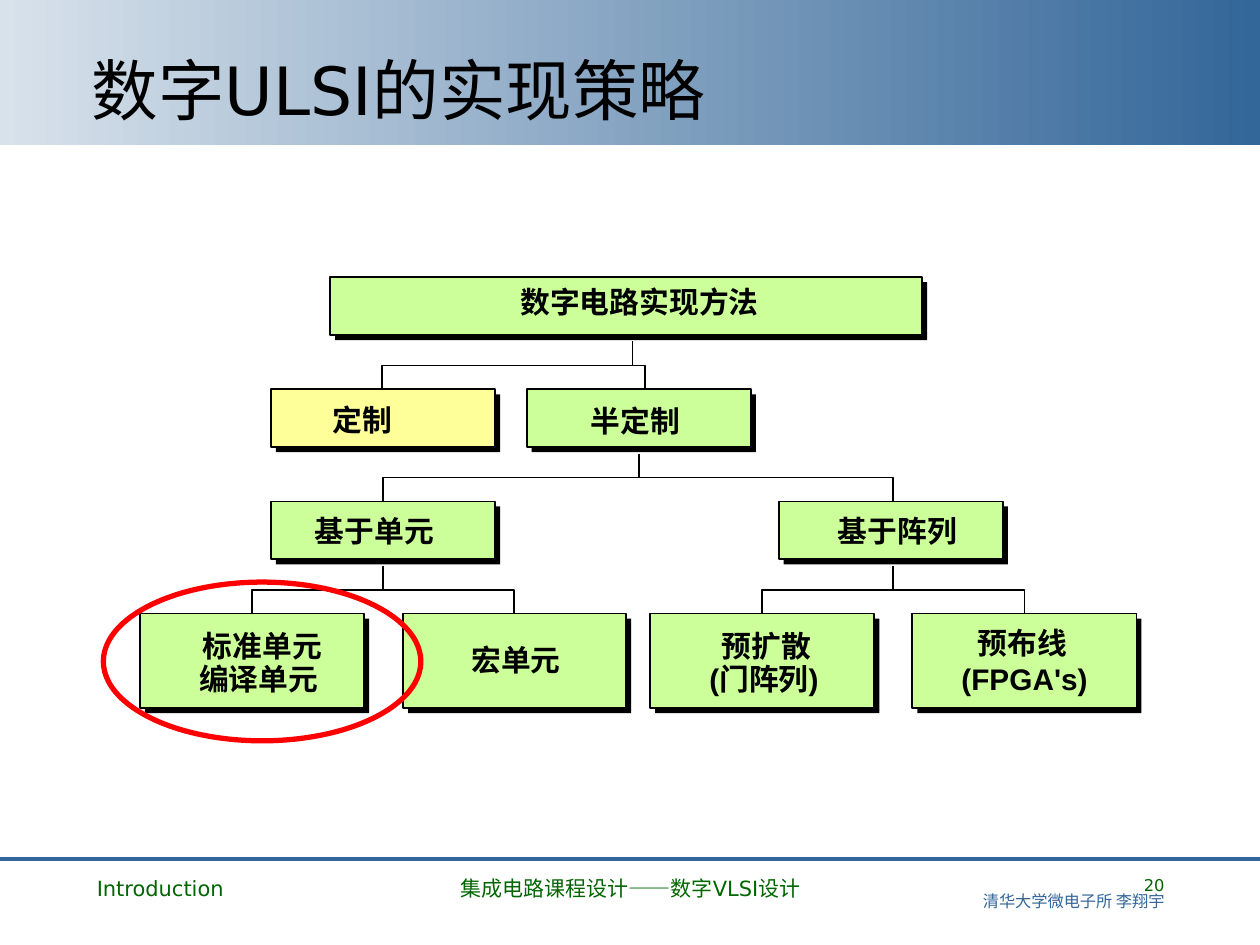
from pptx import Presentation
from pptx.dml.color import RGBColor
from pptx.enum.shapes import MSO_CONNECTOR, MSO_SHAPE
from pptx.enum.text import MSO_ANCHOR, PP_ALIGN
from pptx.oxml.ns import qn
from pptx.util import Inches, Pt
from lxml import etree

RECT, OVAL = MSO_SHAPE.RECTANGLE, MSO_SHAPE.OVAL
LEFT, MID, RIGHT = PP_ALIGN.LEFT, PP_ALIGN.CENTER, PP_ALIGN.RIGHT
TOP, BOTTOM = MSO_ANCHOR.TOP, MSO_ANCHOR.BOTTOM
STRAIGHT = MSO_CONNECTOR.STRAIGHT

COLORS = {"black": "000000", "pale": "D8E2EB", "blue": "336699", "green": "006600",
          "lime": "CCFF99", "yellow": "FFFF99", "red": "FF0000"}
SANS, HAN, ARIAL = "DejaVu Sans", "Noto Sans CJK SC", "Arial"

TITLE = "数字ULSI的实现策略"
FOOTERS = [  # left, width, align, lines of (text, size, font, color, spacing)
    (0.67, 2.17, LEFT, [("Introduction", 12, SANS, "green", None)]),
    (3.42, 3.17, MID, [("集成电路课程设计——数字VLSI设计", 12, SANS, "green", None)]),
    (7.17, 2.17, RIGHT, [("20", 9.3, SANS, "green", None),
                         ("清华大学微电子所 李翔宇", 9.3, HAN, "blue", 0.8)]),
]
ROWS = [  # top, height, boxes of (left, width, color, labels of (left, top, width, text))
    (2.2, 0.46, [(2.62, 4.7, "lime", [(4.13, 2.25, 2.13, "数字电路实现方法")])]),
    (3.09, 0.46, [(2.15, 1.78, "yellow", [(2.64, 3.19, 0.7, "定制")]),
                  (4.18, 1.78, "lime", [(4.69, 3.2, 0.87, "半定制")])]),
    (3.98, 0.46, [(2.15, 1.78, "lime", [(2.5, 4.07, 1.16, "基于单元")]),
                  (6.18, 1.78, "lime", [(6.65, 4.07, 1.1, "基于阵列")])]),
    (4.87, 0.75, [(1.11, 1.78, "lime", [(1.61, 4.98, 1.02, "标准单元"),
                                        (1.58, 5.24, 1.06, "编译单元")]),
                  (3.2, 1.77, "lime", [(3.74, 5.09, 0.87, "宏单元")]),
                  (5.16, 1.78, "lime", [(5.73, 4.98, 0.93, "预扩散"),
                                        (5.63, 5.24, 1.02, "(门阵列)")]),
                  (7.24, 1.78, "lime", [(7.76, 4.96, 0.87, "预布线"),
                                        (7.63, 5.24, 1.15, "(FPGA's)")])]),
]
FORKS = [  # bar height, stem x, left drop x, right drop x
    (2.9, 5.02, 3.03, 5.12),
    (3.79, 5.07, 3.04, 7.09),
    (4.68, 3.04, 2.0, 4.08),
    (4.68, 7.09, 6.05, 8.13),
]
DROP, STEM, SHADE = 0.19, 0.19, 0.04

prs = Presentation()
prs.slide_width, prs.slide_height = Inches(10), Inches(7.5)
slide = prs.slides.add_slide(prs.slide_layouts[6])
shapes = slide.shapes


def rgb(name):
    return RGBColor.from_string(COLORS[name])


def paint(shape, fill=None, line=None, width=1):
    shape.shadow.inherit = False
    if fill:
        shape.fill.solid()
        shape.fill.fore_color.rgb = rgb(fill)
    else:
        shape.fill.background()
    if line:
        shape.line.color.rgb = rgb(line)
        shape.line.width = Pt(width)
    else:
        shape.line.fill.background()


def block(kind, x, y, w, h, **look):
    shape = shapes.add_shape(kind, Inches(x), Inches(y), Inches(w), Inches(h))
    paint(shape, **look)
    return shape


def rule(x1, y1, x2, y2, color, width):
    line = shapes.add_connector(STRAIGHT, Inches(x1), Inches(y1), Inches(x2), Inches(y2))
    line.line.color.rgb = rgb(color)
    line.line.width = Pt(width)
    etree.SubElement(line._element.spPr, qn("a:effectLst"))


def trace(points):
    """Draw an open outline through the points."""
    ends = [(Inches(x), Inches(y)) for x, y in points]
    path = shapes.build_freeform(*ends[0])
    path.add_line_segments(ends[1:], close=False)
    paint(path.convert_to_shape(), line="black")


def write(x, y, w, h, lines, align=LEFT, anchor=TOP, pad=(0.1, 0.05), bold=False):
    box = shapes.add_textbox(Inches(x), Inches(y), Inches(w), Inches(h))
    frame = box.text_frame
    frame.word_wrap = True
    frame.vertical_anchor = anchor
    frame.margin_left = frame.margin_right = Inches(pad[0])
    frame.margin_top = frame.margin_bottom = Inches(pad[1])
    for i, (text, size, face, color, gap) in enumerate(lines):
        para = frame.add_paragraph() if i else frame.paragraphs[0]
        para.alignment = align
        if gap:
            para.line_spacing = gap
        run = para.add_run()
        run.text = text
        run.font.size = Pt(size)
        run.font.name = face
        run.font.bold = bold
        run.font.color.rgb = rgb(color)


banner = block(RECT, 0, 0, 10, 1.15)
banner.fill.gradient()
banner.fill.gradient_angle = 0
for stop, name in zip(banner.fill.gradient_stops, ("pale", "blue")):
    stop.color.rgb = rgb(name)
rule(0, 6.82, 10, 6.82, "blue", 2.25)
for x, w, align, lines in FOOTERS:
    write(x, 6.9, w, 0.45, lines, align)
write(0.63, 0.33, 8.75, 0.74, [(TITLE, 38, SANS, "black", None)], anchor=BOTTOM)

for y, h, boxes in ROWS:
    for x, w, color, labels in boxes:
        block(RECT, x + SHADE, y + SHADE, w, h, fill="black")
        block(RECT, x, y, w, h, fill=color, line="black")
        for tx, ty, tw, text in labels:
            write(tx, ty, tw, 0.28, [(text, 17, ARIAL, "black", None)],
                  pad=(0, 0), bold=True)

for y, stem, left, right in FORKS:
    rule(stem, y - STEM, stem, y, "black", 1)
    for x in (left, right):
        trace([(x, y + DROP), (x, y), (stem, y)])

block(OVAL, 0.82, 4.62, 2.52, 1.26, line="red", width=3)
prs.save("out.pptx")
